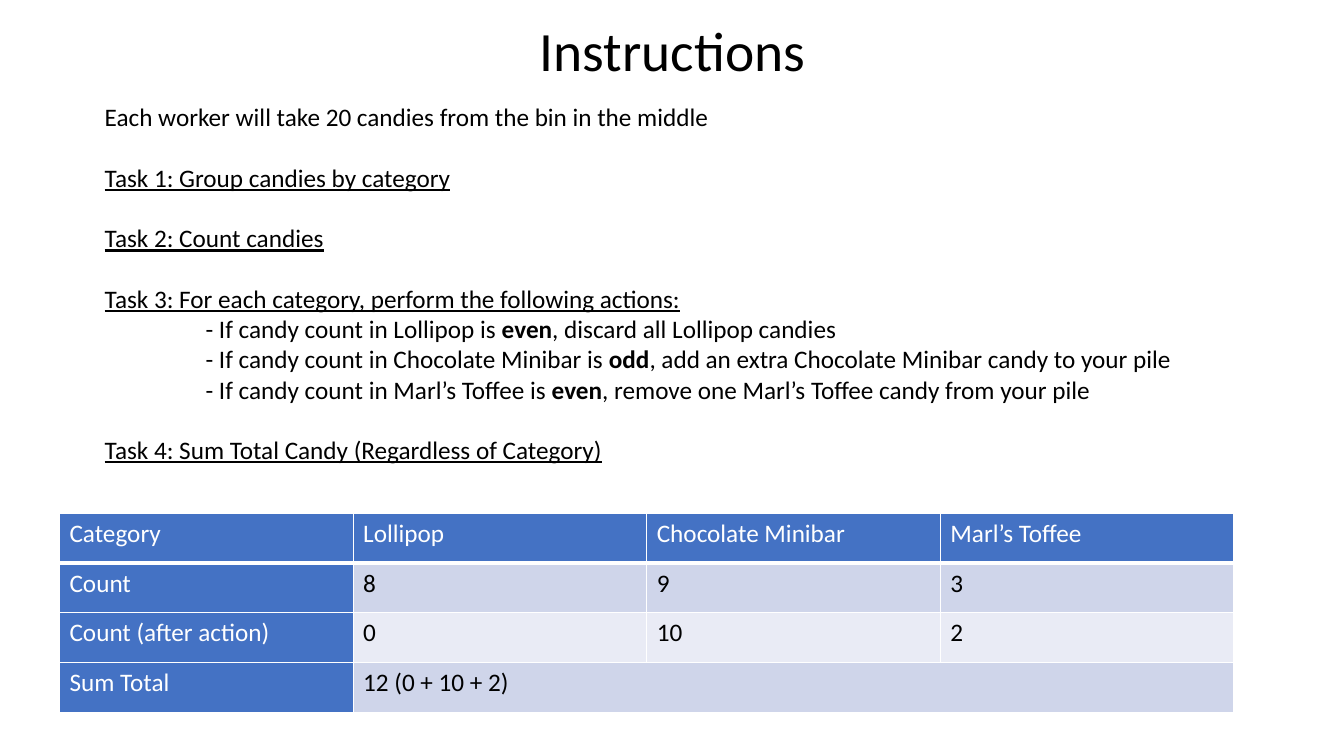
from lxml import etree
from pptx import Presentation
from pptx.dml.color import RGBColor
from pptx.enum.text import MSO_ANCHOR, MSO_AUTO_SIZE, PP_ALIGN
from pptx.oxml.ns import qn
from pptx.util import Inches, Pt

CENTER, MIDDLE = PP_ALIGN.CENTER, MSO_ANCHOR.MIDDLE
NO_AUTOFIT = MSO_AUTO_SIZE.NONE
TITLE_ONLY = 5
FONT = "Calibri"
COLORS = {"black": "000000", "white": "FFFFFF", "header": "4472C4",
          "band_dark": "CFD5EA", "band_light": "E9EBF5"}

TASK = {"underline": True}
KEY = {"bold": True}
GAP = Pt(21.6)

# Each paragraph: space before, left indent, runs of (text, format)
INSTRUCTIONS = [
    (0, 0, [("Each worker will take 20 candies from the bin in the middle", {})]),
    (GAP, 0, [("Task 1: Group candies by category", TASK)]),
    (GAP, 0, [("Task 2: Count candies", TASK)]),
    (GAP, 0, [("Task 3: For each category, perform the following actions:", TASK)]),
    (0, 1, [("- If candy count in Lollipop is ", {}), ("even", KEY),
            (", discard all Lollipop candies", {})]),
    (0, 1, [("- If candy count in Chocolate Minibar is ", {}), ("odd", KEY),
            (", add an extra Chocolate Minibar candy to your pile", {})]),
    (0, 1, [("- If candy count in Marl’s Toffee is ", {}), ("even", KEY),
            (", remove one Marl’s Toffee candy from your pile", {})]),
    (GAP, 0, [("Task 4: Sum Total Candy (Regardless of Category)", TASK)]),
]

COUNTS = [
    ["Category", "Lollipop", "Chocolate Minibar", "Marl’s Toffee"],
    ["Count", "8", "9", "3"],
    ["Count (after action)", "0", "10", "2"],
    ["Sum Total", "12 (0 + 10 + 2)", "", ""],
]


def add_run(p, text, color="black", size=18, **formats):
    r = p.add_run()
    r.text = text
    for name, value in {"name": FONT, "size": Pt(size), **formats}.items():
        setattr(r.font, name, value)
    r.font.color.rgb = RGBColor.from_string(COLORS[color])


def set_title(s, text, left, top, width, height):
    sp = s.shapes.title
    sp.left, sp.top, sp.width, sp.height = map(Inches, (left, top, width, height))
    tf = sp.text_frame
    tf.vertical_anchor, tf.auto_size = MIDDLE, NO_AUTOFIT
    p = tf.paragraphs[0]
    p.alignment, p.line_spacing = CENTER, 0.9
    add_run(p, text, size=39.6)


def add_instructions(s, paragraphs, left, top, width, height):
    tf = s.shapes.add_textbox(*map(Inches, (left, top, width, height))).text_frame
    tf.word_wrap = True
    for i, (space, indent, runs) in enumerate(paragraphs):
        p = tf.add_paragraph() if i else tf.paragraphs[0]
        if indent:
            p._p.get_or_add_pPr().set("marL", str(Inches(indent)))
        if space:
            p.space_before = space
        for text, formats in runs:
            add_run(p, text, **formats)


def set_borders(cell, bottom):
    tcPr = cell._tc.get_or_add_tcPr()
    widths = {"a:lnL": 1, "a:lnR": 1, "a:lnT": 1, "a:lnB": bottom}
    for i, (tag, width) in enumerate(widths.items()):
        ln = etree.Element(qn(tag), w=str(Pt(width)))
        fill = etree.SubElement(ln, qn("a:solidFill"))
        etree.SubElement(fill, qn("a:srgbClr"), val=COLORS["white"])
        tcPr.insert(i, ln)


def add_count_table(s, rows, left, top, width, height):
    table = s.shapes.add_table(len(rows), len(rows[0]),
                               *map(Inches, (left, top, width, height))).table
    for i, row in enumerate(rows):
        for j, text in enumerate(row):
            cell = table.cell(i, j)
            is_header = i == 0 or j == 0
            band = "band_dark" if i % 2 else "band_light"
            cell.fill.solid()
            cell.fill.fore_color.rgb = RGBColor.from_string(
                COLORS["header" if is_header else band])
            set_borders(cell, bottom=1 if i else 3)
            if text:
                add_run(cell.text_frame.paragraphs[0], text,
                        "white" if is_header else "black", bold=False)
    # The total spans all candy columns
    last = len(rows) - 1
    table.cell(last, 1).merge(table.cell(last, len(rows[0]) - 1))


def main():
    prs = Presentation()
    prs.slide_width, prs.slide_height = Inches(13.33), Inches(7.5)
    s = prs.slides.add_slide(prs.slide_layouts[TITLE_ONLY])
    set_title(s, "Instructions", 0.92, 0.2, 11.5, 0.67)
    add_count_table(s, COUNTS, 0.59, 5.09, 11.65, 1.98)
    add_instructions(s, INSTRUCTIONS, 0.94, 0.96, 10.95, 3.74)
    prs.save("out.pptx")


if __name__ == "__main__":
    main()
